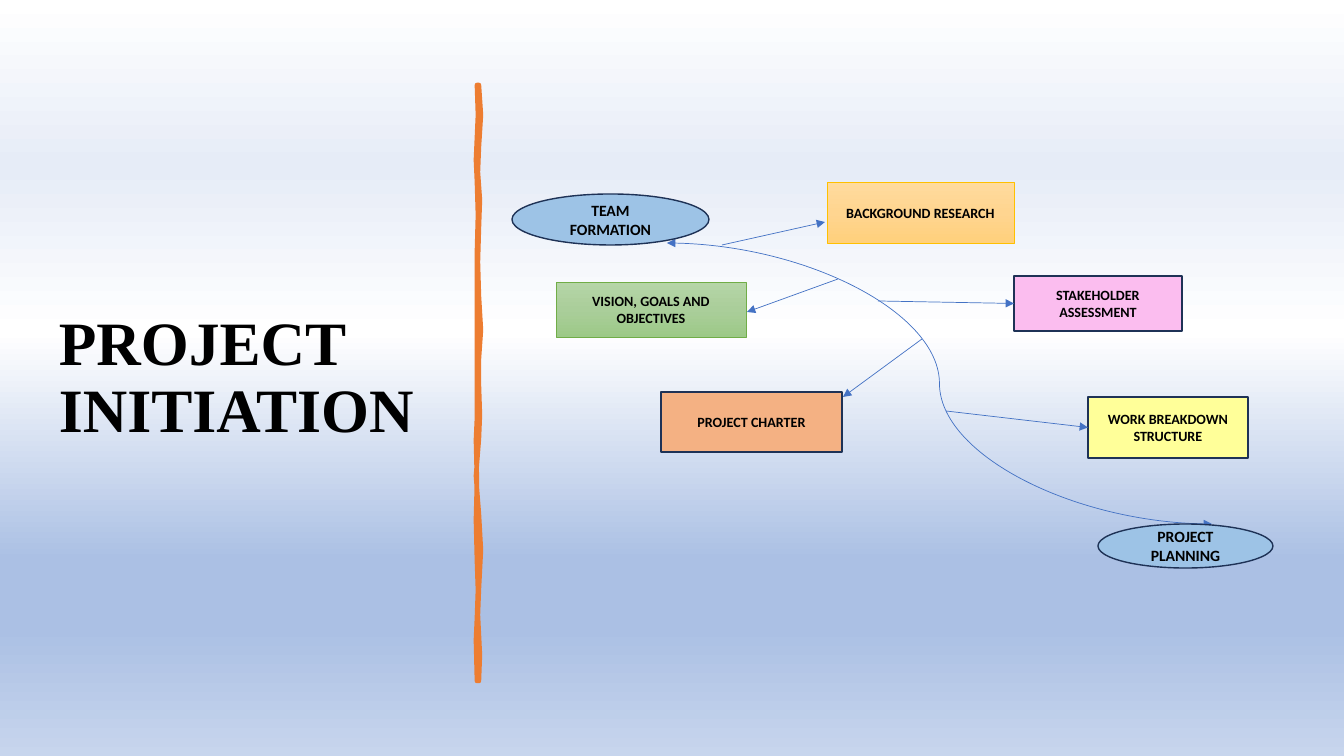
from dataclasses import dataclass
from typing import Optional

from lxml import etree
from pptx import Presentation
from pptx.dml.color import RGBColor
from pptx.enum.shapes import MSO_CONNECTOR, MSO_SHAPE
from pptx.enum.text import MSO_ANCHOR, PP_ALIGN
from pptx.oxml.ns import qn
from pptx.util import Emu, Pt

EMU_PER_PX = 914400 / 100.8
RECT, OVAL = MSO_SHAPE.RECTANGLE, MSO_SHAPE.OVAL
STRAIGHT, CURVE = MSO_CONNECTOR.STRAIGHT, MSO_CONNECTOR.CURVE
MIDDLE, CENTER = MSO_ANCHOR.MIDDLE, PP_ALIGN.CENTER
LEFT_SIDE = 1

BLACK = RGBColor(0x00, 0x00, 0x00)
WHITE = RGBColor(0xFF, 0xFF, 0xFF)
NAVY = RGBColor(0x1E, 0x32, 0x56)
BLUE = RGBColor(0x44, 0x72, 0xC4)
SKY = RGBColor(0x9D, 0xC3, 0xE6)
ORANGE = RGBColor(0xED, 0x7D, 0x31)
GOLD = RGBColor(0xFF, 0xC0, 0x00)
GREEN = RGBColor(0x70, 0xAD, 0x47)
PINK = RGBColor(0xFB, 0xBD, 0xEF)
PEACH = RGBColor(0xF4, 0xB1, 0x83)
YELLOW = RGBColor(0xFF, 0xFF, 0x99)
PALE_BLUE = RGBColor(0xE6, 0xEC, 0xF7)
MID_BLUE = RGBColor(0xAB, 0xC0, 0xE4)
SOFT_BLUE = RGBColor(0xC7, 0xD5, 0xED)

Stops = list[tuple[int, RGBColor]]
BACKDROP: Stops = [(0, WHITE), (22, PALE_BLUE), (44, WHITE),
                   (74, MID_BLUE), (83, MID_BLUE), (100, SOFT_BLUE)]
GOLD_FADE: Stops = [(0, RGBColor(0xFF, 0xDB, 0x9E)), (50, RGBColor(0xFF, 0xD5, 0x90)),
                    (100, RGBColor(0xFF, 0xD0, 0x7C))]
GREEN_FADE: Stops = [(0, RGBColor(0xB5, 0xD5, 0xA7)), (50, RGBColor(0xAA, 0xCE, 0x9A)),
                     (100, RGBColor(0x9C, 0xC9, 0x87))]


@dataclass
class Arrow:
    start: tuple[int, int]
    end: tuple[int, int]
    kind: int = STRAIGHT
    two_way: bool = False
    side: Optional[int] = None  # side of the box that the arrow joins


@dataclass
class Step:
    text: str
    box: tuple[int, int, int, int]
    fill: RGBColor | Stops
    arrow: Optional[Arrow] = None
    line: RGBColor = NAVY
    weight: float = 1
    form: int = RECT
    size: float = 10.1


SPINE = Arrow((667, 243), (1212, 524), CURVE, two_way=True)
STEPS = [
    Step("TEAM FORMATION", (512, 194, 197, 51), SKY, form=OVAL, size=11.2),
    Step("PROJECT PLANNING", (1098, 524, 175, 44), SKY, form=OVAL, size=11.2),
    Step("BACKGROUND RESEARCH", (827, 182, 187, 61), GOLD_FADE,
         Arrow((722, 245), (825, 222)), GOLD, 0.5),
    Step("VISION, GOALS AND OBJECTIVES", (556, 282, 190, 55), GREEN_FADE,
         Arrow((838, 279), (747, 312)), GREEN, 0.5),
    Step("STAKEHOLDER ASSESSMENT", (1014, 276, 168, 55), PINK,
         Arrow((878, 301), (1014, 303), side=LEFT_SIDE)),
    Step("PROJECT CHARTER", (661, 392, 181, 60), PEACH,
         Arrow((922, 339), (843, 397))),
    Step("WORK BREAKDOWN STRUCTURE", (1088, 397, 160, 61), YELLOW,
         Arrow((946, 411), (1088, 427), side=LEFT_SIDE)),
]

# Hand-drawn rule: down the right edge, then back up the left one
RULE = [
    (479, 85), (481, 115), (479, 147), (478, 172), (480, 200), (479, 228),
    (478, 262), (479, 296), (481, 330), (479, 359), (479, 385), (480, 415),
    (479, 439), (476, 476), (479, 514), (481, 550), (479, 589), (478, 615),
    (480, 655), (479, 681), (477, 681), (476, 640), (477, 618), (478, 590),
    (477, 561), (476, 520), (477, 481), (476, 440), (477, 418), (477, 338),
    (477, 252), (478, 215), (477, 182), (476, 160), (478, 115), (477, 85),
]


def px(n: int) -> Emu:
    return Emu(round(n * EMU_PER_PX))


def set_gradient(fill, element, stops: Stops) -> None:
    """Fill from top to bottom with the given stops."""
    fill.gradient()
    fill.gradient_angle = 270
    stop_list = next(element.iter(qn("a:gsLst")))
    for old in list(stop_list):
        stop_list.remove(old)
    for percent, color in stops:
        gs = etree.SubElement(stop_list, qn("a:gs"), pos=str(percent * 1000))
        etree.SubElement(gs, qn("a:srgbClr"), val=str(color))


def add_run(p, text: str, font: str, size: float):
    r = p.add_run()
    r.text = text
    r.font.name, r.font.size, r.font.bold = font, Pt(size), True
    r.font.color.rgb = BLACK
    return r


def add_title(s) -> None:
    tf = s.shapes.add_textbox(*map(px, (49, 71, 397, 616))).text_frame
    tf.word_wrap, tf.vertical_anchor = True, MIDDLE
    p = tf.paragraphs[0]
    p.line_spacing = 0.9
    r = add_run(p, "PROJECT INITIATION", "Times New Roman", 44)
    outline = etree.Element(qn("a:ln"), w=str(Pt(0.75)))
    paint = etree.SubElement(outline, qn("a:solidFill"))
    etree.SubElement(paint, qn("a:srgbClr"), val=str(WHITE))
    r.font.fill  # the outline goes before the text fill
    r._r.get_or_add_rPr().insert(0, outline)


def add_rule(s) -> None:
    builder = s.shapes.build_freeform(*RULE[0], scale=EMU_PER_PX)
    builder.add_line_segments(RULE[1:], close=True)
    sp = builder.convert_to_shape()
    sp.shadow.inherit = False
    sp.fill.solid()
    sp.fill.fore_color.rgb = sp.line.color.rgb = ORANGE
    sp.line.width = Pt(3.25)


def add_arrow(s, arrow: Arrow, target=None) -> None:
    cx = s.shapes.add_connector(arrow.kind, *map(px, arrow.start + arrow.end))
    if target is not None and arrow.side is not None:
        cx.end_connect(target, arrow.side)
    cx.line.color.rgb, cx.line.width = BLUE, Pt(0.5)
    ln = cx.line._get_or_add_ln()
    for tag in ("a:headEnd", "a:tailEnd") if arrow.two_way else ("a:tailEnd",):
        etree.SubElement(ln, qn(tag), type="triangle")
    etree.SubElement(cx.element.spPr, qn("a:effectLst"))


def add_step(s, step: Step) -> None:
    sp = s.shapes.add_shape(step.form, *map(px, step.box))
    sp.shadow.inherit = False
    if isinstance(step.fill, list):
        set_gradient(sp.fill, sp.element, step.fill)
    else:
        sp.fill.solid()
        sp.fill.fore_color.rgb = step.fill
    sp.line.color.rgb, sp.line.width = step.line, Pt(step.weight)
    tf = sp.text_frame
    tf.word_wrap, tf.vertical_anchor = True, MIDDLE
    p = tf.paragraphs[0]
    p.alignment, p.space_after = CENTER, Pt(6)
    add_run(p, step.text, "Calibri", step.size)
    if step.arrow:
        add_arrow(s, step.arrow, sp)


def main() -> None:
    prs = Presentation()
    prs.slide_width, prs.slide_height = px(1344), px(756)
    s = prs.slides.add_slide(prs.slide_layouts[6])
    set_gradient(s.background.fill, s.element, BACKDROP)

    # Title and dividing rule
    add_title(s)
    add_rule(s)

    # Path from team formation to planning, with its steps
    add_arrow(s, SPINE)
    for step in STEPS:
        add_step(s, step)

    prs.save("out.pptx")


if __name__ == "__main__":
    main()
